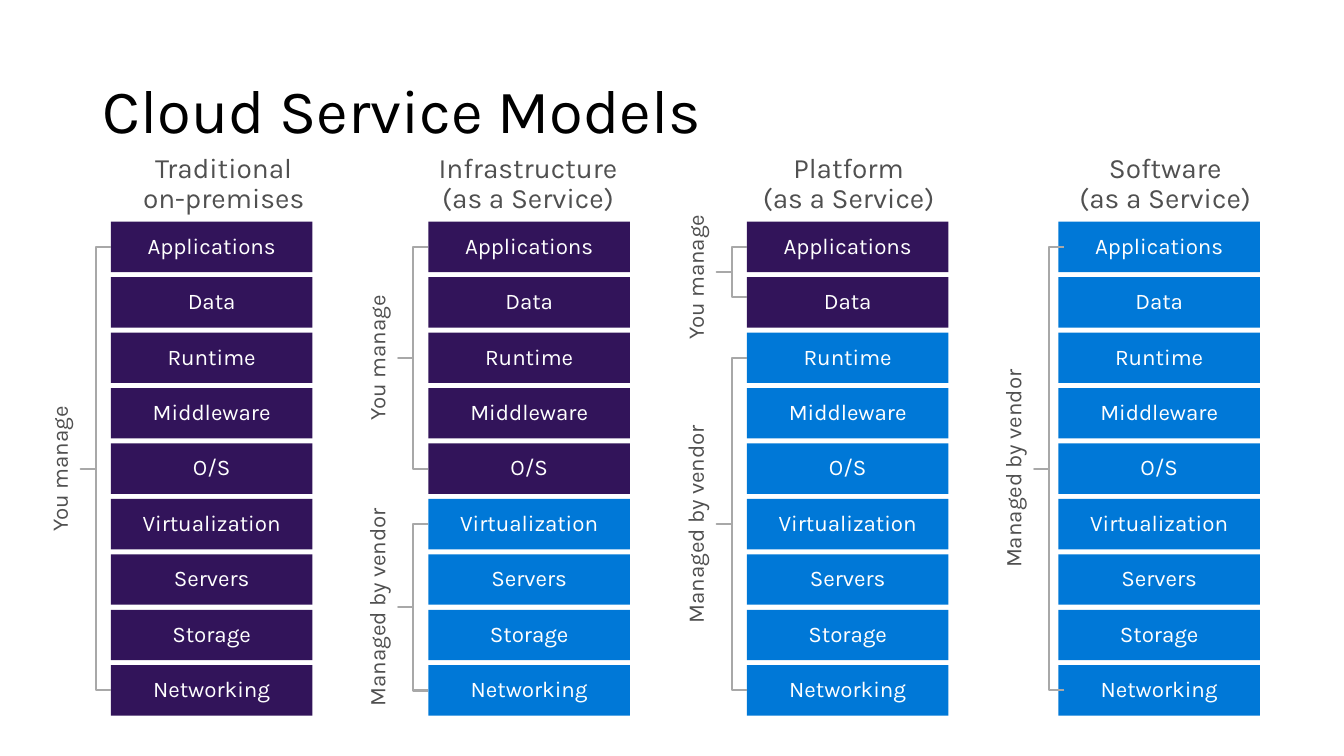
from pptx import Presentation
from pptx.dml.color import RGBColor
from pptx.enum.shapes import MSO_SHAPE
from pptx.enum.text import MSO_ANCHOR, PP_ALIGN
from pptx.util import Pt

PURPLE, BLUE, GREY, RULE = "32145A", "0078D7", "505050", "A8A8A8"
TOP, PITCH, WIDE, HIGH = 158.4, 39.6, 144, 36
YOU, VENDOR = "You manage", "Managed by vendor"
SPAN = {YOU: 113, VENDOR: 169.2}
LAYERS = ["Applications", "Data", "Runtime", "Middleware", "O/S",
          "Virtualization", "Servers", "Storage", "Networking"]

# heading lines, heading left, stack left, brace left, layers you manage,
# braces as (label, top, height, label shift)
MODELS = [
    (["Traditional", "on-premises"], 79.2, 79.2, 57.6, 9,
     [(YOU, 176.4, 316.8, 0)]),
    (["Infrastructure", "(as a Service)"], 296.6, 306, 284.4, 5,
     [(YOU, 176.4, 158.4, 0), (VENDOR, 374.4, 118.8, 0)]),
    (["Platform", "(as a Service)"], 525.6, 533.5, 511.9, 2,
     [(YOU, 176.4, 36, 3.6), (VENDOR, 255.6, 237.6, 0)]),
    (["Software", "(as a Service)"], 751.7, 756, 738.7, 0,
     [(VENDOR, 176.4, 316.8, 0)]),
]


def paint(code):
    return RGBColor.from_string(code)


def write(shape, lines, size, color, align=PP_ALIGN.CENTER):
    """Fill a shape with one paragraph per line."""
    frame = shape.text_frame
    frame.word_wrap = True
    for i, line in enumerate(lines):
        para = frame.add_paragraph() if i else frame.paragraphs[0]
        para.alignment = align
        para.line_spacing = 0.9
        run = para.add_run()
        run.text = line
        run.font.name = "Karla"
        run.font.size = Pt(size)
        run.font.color.rgb = paint(color)
    return frame


deck = Presentation()
deck.slide_width, deck.slide_height = Pt(960), Pt(540)
slide = deck.slides.add_slide(deck.slide_layouts[5])
shapes = slide.shapes

title = shapes.title
title.left, title.top = Pt(66), Pt(28.8)
title.width, title.height = Pt(828), Pt(104.4)
frame = write(title, ["Cloud Service Models"], 44, "000000", PP_ALIGN.LEFT)
frame.vertical_anchor = MSO_ANCHOR.MIDDLE

for lines, head, left, edge, own, braces in MODELS:
    box = shapes.add_textbox(Pt(head), Pt(103), Pt(161.3), Pt(59))
    frame = write(box, lines, 20, GREY)
    frame.margin_left = frame.margin_right = Pt(11.5)
    frame.margin_top = frame.margin_bottom = Pt(7.2)

    for row, layer in enumerate(LAYERS):
        block = shapes.add_shape(MSO_SHAPE.RECTANGLE, Pt(left), Pt(TOP + row * PITCH),
                                 Pt(WIDE), Pt(HIGH))
        block.shadow.inherit = False
        block.fill.solid()
        block.fill.fore_color.rgb = paint(PURPLE if row < own else BLUE)
        block.line.fill.background()
        frame = write(block, [layer], 16, "FFFFFF")
        frame.vertical_anchor = MSO_ANCHOR.MIDDLE

    for label, top, tall, shift in braces:
        span = SPAN[label]
        mid = top + tall / 2 + shift
        note = shapes.add_textbox(Pt(edge - 14 - span / 2), Pt(mid - 16.2),
                                  Pt(span), Pt(32.4))
        note.rotation = 270
        frame = write(note, [label], 16, GREY)
        frame.word_wrap = False
        frame.margin_left = frame.margin_right = Pt(11.5)
        frame.margin_top = frame.margin_bottom = Pt(7.2)

        brace = shapes.add_shape(MSO_SHAPE.LEFT_BRACE, Pt(edge), Pt(top),
                                 Pt(21.6), Pt(tall))
        brace.adjustments[0] = 0
        brace.adjustments[1] = 0.5
        brace.shadow.inherit = False
        brace.fill.background()
        brace.line.color.rgb = paint(RULE)
        brace.line.width = Pt(1.5)

deck.save("out.pptx")
